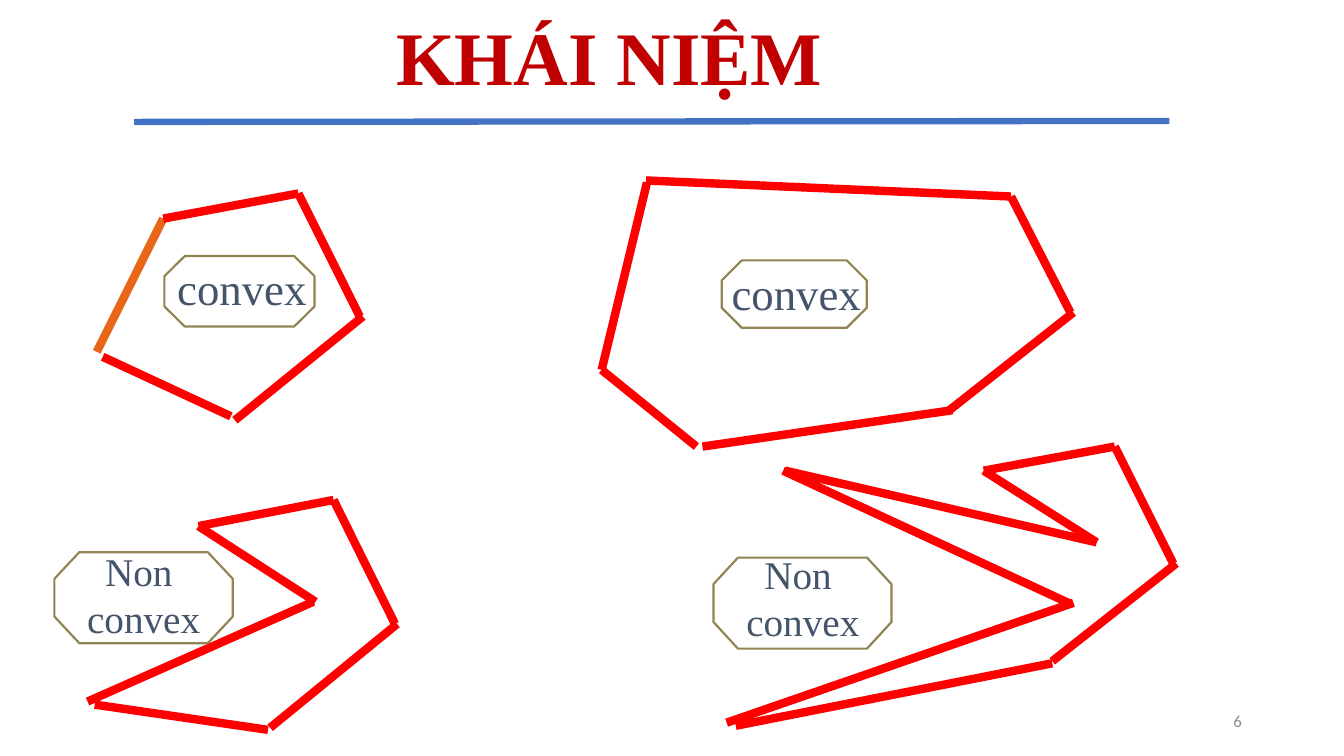
from pptx import Presentation
from pptx.dml.color import RGBColor
from pptx.enum.shapes import MSO_CONNECTOR as Connector
from pptx.enum.text import MSO_ANCHOR as Anchor, MSO_AUTO_SIZE as AutoSize, PP_ALIGN as Align
from pptx.oxml import parse_xml
from pptx.oxml.ns import nsdecls
from pptx.util import Pt

RED, ORANGE, BLUE = "FF0000", "E76617", "4472C4"
OLIVE, SLATE, DARK_RED, GRAY = "918554", "44546A", "C00000", "8C8C8C"
SERIF = "Times New Roman"

TITLE = "KHÁI NIỆM"
PAGE_NUMBER = "6"
RULE = (95.8, 87.1, 835.2, 86.4)
OPEN_EDGE = [[(69.1, 251.3), (116.6, 156.2)]]
PENTAGON = [
    [(73.4, 254.9), (164.9, 297.4)], [(116.6, 156.2), (213.1, 138.2)],
    [(167.8, 300.2), (259.2, 226.1)], [(257, 226.1), (213.1, 138.2)],
]
SINGLE_NOTCH = [
    [(141.8, 375.8), (238.3, 357.1)], [(193, 519.8), (283.7, 445.7)],
    [(282.2, 445.7), (238.3, 357.1)], [(191.5, 521.3), (67.7, 503.3)],
    [(62.6, 501.1), (223.9, 429.8)], [(141.8, 375.8), (225.4, 429.8)],
]
HEXAGON = [
    [(678.2, 293), (766.8, 223.2)], [(764.6, 223.2), (722.2, 140.4)],
    [(722.2, 140.4), (461.5, 128.9)], [(462.2, 130.3), (429.8, 264.2)],
    [(680.4, 293), (501.8, 319)], [(497.5, 319), (429.8, 264.2)],
]
DOUBLE_NOTCH = [
    [(702.7, 336.2), (796.3, 319)], [(751.7, 472.3), (840.2, 402.5)],
    [(838.1, 402.5), (796.3, 319)], [(702.7, 336.2), (783.4, 387.4)],
    [(751.7, 473.8), (525.6, 518.4)], [(783.4, 387.4), (560.9, 336.2)],
    [(559.4, 336.2), (764.6, 431.3)], [(519.1, 516.2), (766.8, 430.6)],
]
RED_OUTLINES = [PENTAGON, SINGLE_NOTCH, HEXAGON + DOUBLE_NOTCH]
CONVEX = dict(lines=["convex"], size=32, align=Align.LEFT)
NON_CONVEX = dict(lines=["Non ", "convex"], size=28, align=Align.CENTER)
LABELS = [
    (CONVEX, (117.4, 182.9, 107.3, 50.4), (14.6, 14.4), (119.5, 182.9, 108, 46)),
    (CONVEX, (515.5, 186, 103.7, 48.2), (14.4, 14.4), (515.5, 186.2, 108, 46)),
    (NON_CONVEX, (38.9, 394.4, 127.4, 65), (17.8, 19), (54.7, 387.4, 95.8, 74.9)),
    (NON_CONVEX, (509.6, 398.3, 127.2, 65), (17.5, 19), (525.6, 389.5, 95.8, 74.9)),
]


def color(value):
    return RGBColor.from_string(value)


def points(values):
    return [Pt(value) for value in values]


def write(frame, lines, size, hue, font=SERIF, align=Align.LEFT, bold=False,
          wrap=False, anchor=Anchor.TOP, spacing=None):
    frame.auto_size = AutoSize.NONE
    frame.word_wrap = wrap
    frame.vertical_anchor = anchor
    for index, line in enumerate(lines):
        paragraph = frame.add_paragraph() if index else frame.paragraphs[0]
        paragraph.alignment = align
        paragraph.line_spacing = spacing
        run = paragraph.add_run()
        run.text = line
        run.font.name, run.font.size, run.font.bold = font, Pt(size), bold
        run.font.color.rgb = color(hue)


def draw_outline(strokes, hue, width, close=False):
    builder = slide.shapes.build_freeform(*points(strokes[0][0]))
    for index, (start, *rest) in enumerate(strokes):
        if index:
            builder.move_to(*points(start))
        builder.add_line_segments([points(vertex) for vertex in rest], close=close)
    outline = builder.convert_to_shape()
    outline.shadow.inherit = False
    outline.fill.background()
    outline.line.color.rgb = color(hue)
    outline.line.width = Pt(width)


def octagon(box, cut):
    left, top, width, height = box
    right, bottom = left + width, top + height
    cut_x, cut_y = cut
    return [
        (left, top + cut_y), (left + cut_x, top), (right - cut_x, top),
        (right, top + cut_y), (right, bottom - cut_y), (right - cut_x, bottom),
        (left + cut_x, bottom), (left, bottom - cut_y),
    ]


presentation = Presentation()
presentation.slide_width, presentation.slide_height = Pt(960), Pt(540)
slide = presentation.slides.add_slide(presentation.slide_layouts[5])

draw_outline(OPEN_EDGE, ORANGE, 6)
for strokes in RED_OUTLINES:
    draw_outline(strokes, RED, 6)

for label, octagon_box, cut, text_box in LABELS:
    draw_outline([octagon(octagon_box, cut)], OLIVE, 1.56, close=True)
    write(slide.shapes.add_textbox(*points(text_box)).text_frame, hue=SLATE, **label)

number = slide.shapes.add_textbox(*points((678.2, 500.4, 216, 28.8)))
write(number.text_frame, [PAGE_NUMBER], 12, GRAY, font="Calibri",
      align=Align.RIGHT, wrap=True, anchor=Anchor.MIDDLE)

title = slide.shapes.title
title.left, title.top, title.width, title.height = points((47.2, 21.4, 776.2, 44.6))
write(title.text_frame, [TITLE], 54, DARK_RED, align=Align.CENTER, bold=True,
      wrap=True, anchor=Anchor.MIDDLE, spacing=0.9)

rule = slide.shapes.add_connector(Connector.STRAIGHT, *points(RULE))
rule.line.color.rgb = color(BLUE)
rule.line.width = Pt(4.5)
rule._element.spPr.append(parse_xml(f"<a:effectLst {nsdecls('a')}/>"))

presentation.save("out.pptx")
